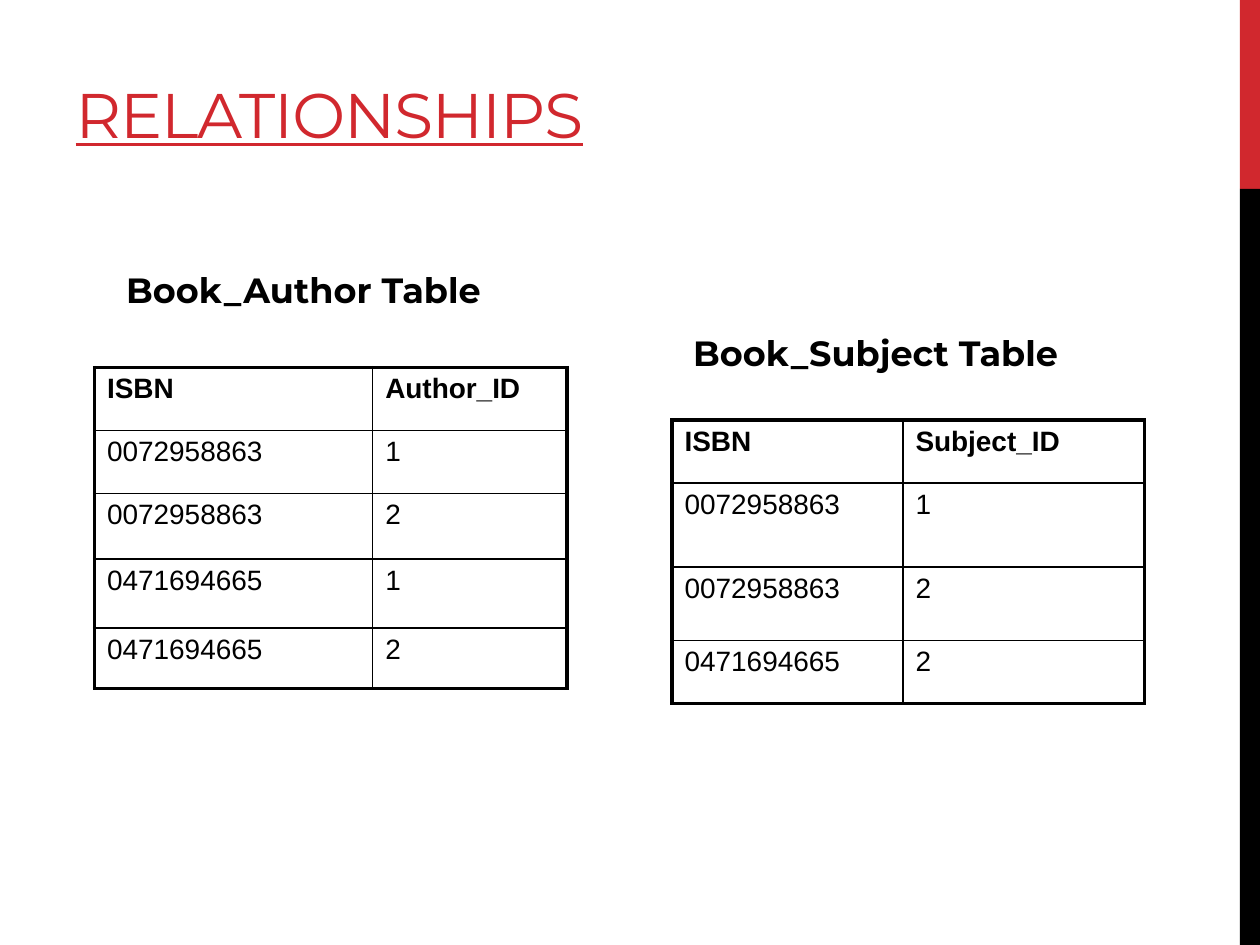
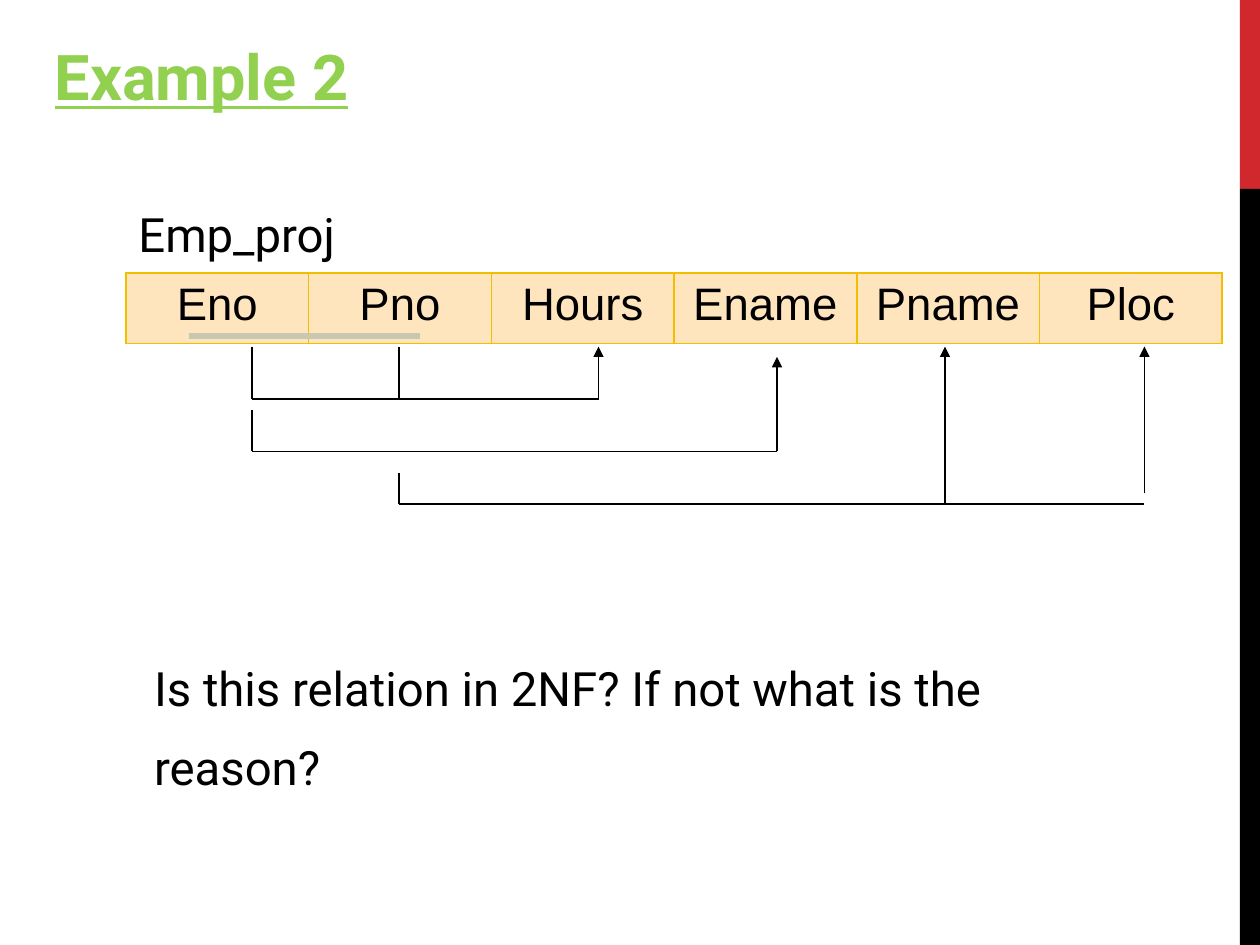
from dataclasses import dataclass

from lxml import etree
from pptx import Presentation
from pptx.dml.color import RGBColor
from pptx.enum.shapes import MSO_CONNECTOR, MSO_SHAPE
from pptx.enum.text import MSO_ANCHOR, MSO_AUTO_SIZE, PP_ALIGN
from pptx.oxml.ns import qn
from pptx.util import Pt

RECTANGLE = MSO_SHAPE.RECTANGLE
STRAIGHT = MSO_CONNECTOR.STRAIGHT
TOP, BOTTOM = MSO_ANCHOR.TOP, MSO_ANCHOR.BOTTOM
LEFT, CENTER = PP_ALIGN.LEFT, PP_ALIGN.CENTER
NO_FIT, FIT_SHAPE = MSO_AUTO_SIZE.NONE, MSO_AUTO_SIZE.SHAPE_TO_FIT_TEXT
TITLE_ONLY = 5


@dataclass(frozen=True)
class Theme:
    red: str = "D1282E"
    black: str = "000000"
    green: str = "92D050"
    gold: str = "F1BE00"
    cream: str = "FFE5BD"
    key_grey: str = "C8C8B1"
    heading_font: str = "Montserrat"
    body_font: str = "Roboto"
    table_font: str = "Arial"
    title_size: float = 36
    body_size: float = 27
    attribute_size: float = 26
    caption_size: float = 20
    cell_size: float = 16
    thin: float = 1
    thick: float = 2.25
    key_line: float = 3


class Deck:
    def __init__(self, theme):
        self.theme = theme
        self.presentation = Presentation()
        self.presentation.slide_width = Pt(720)
        self.presentation.slide_height = Pt(540)
        self.slide = None

    def new_slide(self):
        layout = self.presentation.slide_layouts[TITLE_ONLY]
        self.slide = self.presentation.slides.add_slide(layout)
        self.band(0, 108, self.theme.red)
        self.band(108, 432, self.theme.black)

    def band(self, top, height, color):
        """Draw one part of the strip along the right edge."""
        band = self.slide.shapes.add_shape(
            RECTANGLE, Pt(708.5), Pt(top), Pt(11.5), Pt(height))
        band.shadow.inherit = False
        band.fill.solid()
        band.fill.fore_color.rgb = RGBColor.from_string(color)
        band.line.fill.background()

    def style(self, paragraph, font_name, size, color=None, bold=False,
              underline=False, align=LEFT):
        paragraph.alignment = align
        font = paragraph.font
        font.name, font.size = font_name, Pt(size)
        font.bold, font.underline = bold, underline
        font.color.rgb = RGBColor.from_string(color or self.theme.black)

    def title(self, text, box, font_name, color, bold=False, anchor=TOP, spacing=0):
        """Place the title; spacing is in hundredths of a point."""
        title = self.slide.shapes.title
        title.left, title.top, title.width, title.height = map(Pt, box)
        frame = title.text_frame
        frame.text = text
        frame.auto_size = NO_FIT
        frame.vertical_anchor = anchor
        paragraph = frame.paragraphs[0]
        self.style(paragraph, font_name, self.theme.title_size, color, bold,
                   underline=True)
        if spacing:
            paragraph.runs[0]._r.get_or_add_rPr().set("spc", str(spacing))

    def text(self, text, box, font_name, size, bold=False, wrap=False):
        frame = self.slide.shapes.add_textbox(*map(Pt, box)).text_frame
        frame.text = text
        frame.word_wrap = wrap
        frame.auto_size = NO_FIT if wrap else FIT_SHAPE
        paragraph = frame.paragraphs[0]
        self.style(paragraph, font_name, size, bold=bold)
        return paragraph

    def question(self, text, box):
        paragraph = self.text(text, box, self.theme.body_font,
                              self.theme.body_size, wrap=True)
        paragraph.line_spacing = 1.4
        paragraph._p.get_or_add_pPr().set("marL", str(Pt(27)))

    def table(self, rows, left, top, widths, heights, size, border, outer,
              fill=None, align=LEFT, header=False):
        """Draw a ruled table whose outside edges are `outer` points wide."""
        table = self.slide.shapes.add_table(
            len(rows), len(widths), Pt(left), Pt(top),
            Pt(sum(widths)), Pt(sum(heights))).table
        table.first_row = table.horz_banding = False
        for column, width in zip(table.columns, widths):
            column.width = Pt(width)
        last_row, last_column = len(rows) - 1, len(widths) - 1
        for r, (values, height) in enumerate(zip(rows, heights)):
            table.rows[r].height = Pt(height)
            for c, value in enumerate(values):
                cell = table.cell(r, c)
                cell.text = value
                self.style(cell.text_frame.paragraphs[0], self.theme.table_font,
                           size, bold=header and r == 0, align=align)
                edges = {"L": c == 0, "R": c == last_column,
                         "T": r == 0, "B": r == last_row}
                for side, is_outer in edges.items():
                    self.cell_border(cell, side, border,
                                     outer if is_outer else self.theme.thin)
                if fill:
                    cell.fill.solid()
                    cell.fill.fore_color.rgb = RGBColor.from_string(fill)
                else:
                    cell.fill.background()

    def cell_border(self, cell, side, color, width):
        properties = cell._tc.get_or_add_tcPr()
        line = etree.SubElement(properties, qn(f"a:ln{side}"), w=str(Pt(width)))
        solid = etree.SubElement(line, qn("a:solidFill"))
        etree.SubElement(solid, qn("a:srgbClr"), val=color)

    def line(self, start, end, color=None, width=None, arrow=False):
        connector = self.slide.shapes.add_connector(
            STRAIGHT, *map(Pt, (*start, *end)))
        connector.line.color.rgb = RGBColor.from_string(color or self.theme.black)
        connector.line.width = Pt(width or self.theme.thin)
        properties = connector._element.spPr
        if arrow:
            etree.SubElement(properties.find(qn("a:ln")), qn("a:tailEnd"),
                             type="triangle")
        etree.SubElement(properties, qn("a:effectLst"))

    def dependency(self, determinants, top, level, dependents):
        """Join determinants to dependents, given as (x, base, tip), at one level."""
        for x in determinants:
            self.line((x, top), (x, level))
        self.line((determinants[0], level), (dependents[-1][0], level))
        for x, base, tip in dependents:
            self.line((x, base), (x, tip), arrow=True)


def relationships_slide(deck):
    theme = deck.theme
    deck.new_slide()
    deck.title("RELATIONSHIPS", (36, 0, 648, 90), theme.heading_font, theme.red,
               anchor=BOTTOM, spacing=-60)

    book_authors = [("ISBN", "Author_ID"), ("0072958863", "1"), ("0072958863", "2"),
                    ("0471694665", "1"), ("0471694665", "2")]
    book_subjects = [("ISBN", "Subject_ID"), ("0072958863", "1"),
                     ("0072958863", "2"), ("0471694665", "2")]
    for rows, left, top, widths, heights in (
            (book_authors, 54, 210, (159, 111), (36, 36, 37.5, 39.5, 34.5)),
            (book_subjects, 384, 240, (132, 138), (36, 48, 42, 36))):
        deck.table(rows, left, top, widths, heights, theme.cell_size,
                   theme.black, theme.thick, header=True)

    for caption, box in (("Book_Author Table", (65, 150, 222.5, 31.5)),
                         ("Book_Subject Table", (389, 186, 233.5, 31.5))):
        deck.text(caption, box, theme.heading_font, theme.caption_size, bold=True)


def example_slide(deck):
    theme = deck.theme
    deck.new_slide()
    deck.title("Example 2", (24, 18, 204.5, 51), theme.body_font, theme.green,
               bold=True)
    deck.text("Emp_proj", (72, 114, 129, 39.5), theme.body_font, theme.body_size)

    attributes = ("Eno", "Pno", "Hours", "Ename", "Pname", "Ploc")
    deck.table([attributes], 72, 156, [104.4] * len(attributes), [40.3],
               theme.attribute_size, theme.gold, theme.thin, theme.cream, CENTER)
    deck.line((108, 192), (240, 192), theme.key_grey, theme.key_line)

    eno, pno, hours, ename, pname, ploc = 144, 228, 342, 444, 540, 654
    deck.dependency((eno, pno), 198, 228, [(hours, 228, 198)])
    deck.dependency((eno,), 234, 258, [(ename, 258, 204)])
    deck.dependency((pno,), 270, 288, [(pname, 288, 198), (ploc, 282, 198)])

    deck.question("Is this relation in 2NF? If not what is the reason?",
                  (54, 360, 612, 102))


def main():
    deck = Deck(Theme())
    relationships_slide(deck)
    example_slide(deck)
    deck.presentation.save("out.pptx")


if __name__ == "__main__":
    main()
